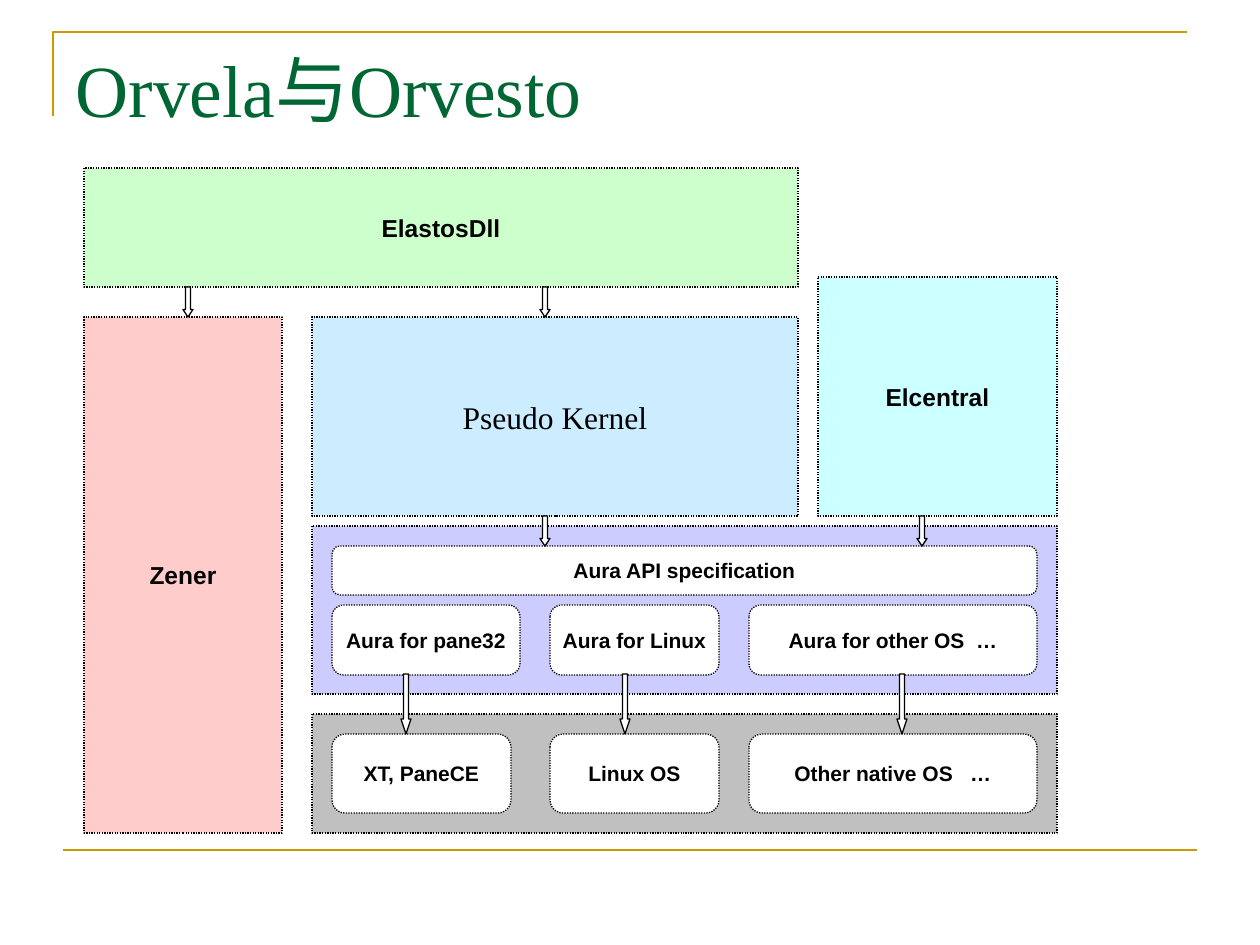
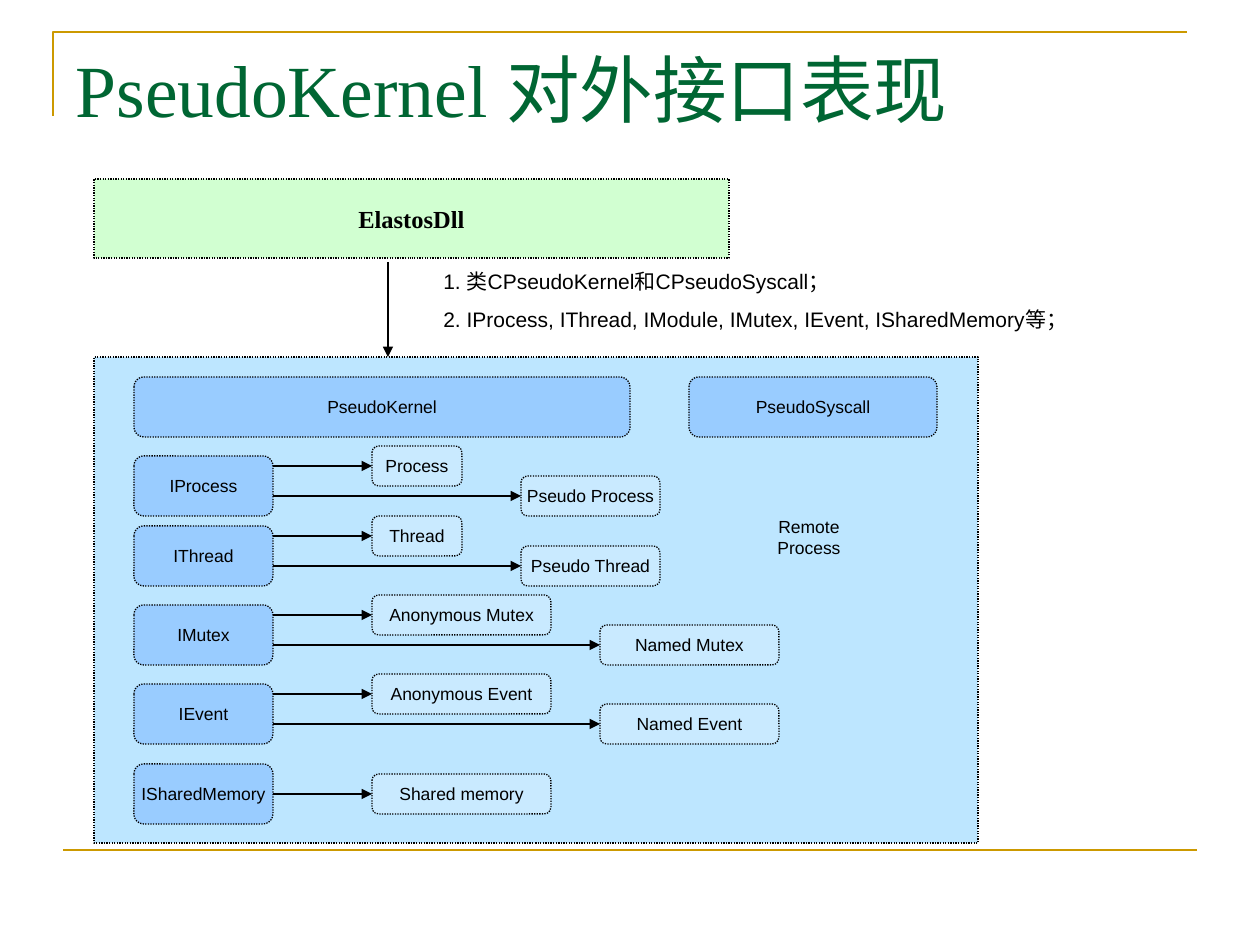
import pptx
import pptx.dml.color
import pptx.enum.dml
import pptx.enum.shapes
import pptx.enum.text
import pptx.oxml.ns
import pptx.util
from lxml import etree

PX = 914400 / 126
SANS = "Arial"
SERIF = "Times New Roman"
COLORS = {
    "gold": "CC9900", "title": "006633", "black": "000000", "white": "FFFFFF",
    "green": "CCFFCC", "pink": "FFCCCC", "sky": "CCECFF", "violet": "CCCCFF",
    "cyan": "CCFFFF", "gray": "C0C0C0",
    "panel": "BDE6FF", "interface": "99CCFF", "class": "C9EAFF",
}
SHAPE = pptx.enum.shapes.MSO_SHAPE
ALIGN = pptx.enum.text.PP_ALIGN
ANCHOR = pptx.enum.text.MSO_ANCHOR


def px(*lengths):
    return [pptx.util.Emu(round(length * PX)) for length in lengths]


def rgb(name):
    return pptx.dml.color.RGBColor.from_string(COLORS[name])


def style_line(shape, color="black", width=0.75, dotted=False):
    shape.line.color.rgb = rgb(color)
    shape.line.width = pptx.util.Pt(width)
    if dotted:
        shape.line.dash_style = pptx.enum.dml.MSO_LINE.ROUND_DOT


def style_font(paragraph, size, font=SANS, bold=False, color="black"):
    paragraph.font.size = pptx.util.Pt(size)
    paragraph.font.name = font
    paragraph.font.bold = bold
    paragraph.font.color.rgb = rgb(color)


def add_block(slide, box, fill, text="", size=14, font=SANS, bold=False,
              kind=SHAPE.RECTANGLE, dotted=True):
    shape = slide.shapes.add_shape(kind, *px(*box))
    shape.shadow.inherit = False
    shape.fill.solid()
    shape.fill.fore_color.rgb = rgb(fill)
    style_line(shape, dotted=dotted)
    if text:
        frame = shape.text_frame
        frame.word_wrap = False
        frame.vertical_anchor = ANCHOR.MIDDLE
        paragraph = frame.paragraphs[0]
        paragraph.text = text
        paragraph.alignment = ALIGN.CENTER
        style_font(paragraph, size, font, bold)
    return shape


def add_line(slide, start, end, color="black", width=0.75, arrow=False):
    line = slide.shapes.add_connector(
        pptx.enum.shapes.MSO_CONNECTOR.STRAIGHT, *px(*start, *end))
    style_line(line, color, width)
    properties = line._element.spPr
    if arrow:
        etree.SubElement(properties.find(pptx.oxml.ns.qn("a:ln")),
                         pptx.oxml.ns.qn("a:tailEnd"), type="triangle")
    etree.SubElement(properties, pptx.oxml.ns.qn("a:effectLst"))
    return line


def add_text(slide, box, lines, size, alignment=ALIGN.LEFT, space_before=0):
    frame = slide.shapes.add_textbox(*px(*box)).text_frame
    frame.word_wrap = True
    for index, text in enumerate(lines):
        paragraph = frame.add_paragraph() if index else frame.paragraphs[0]
        paragraph.text = text
        paragraph.alignment = alignment
        if index:
            paragraph.space_before = pptx.util.Pt(space_before)
        style_font(paragraph, size)


def add_titled_slide(presentation, text):
    slide = presentation.slides.add_slide(presentation.slide_layouts[5])
    title = slide.shapes.title
    title.left, title.top, title.width, title.height = px(63, 38, 1134, 158)
    title.text = text
    title.text_frame.auto_size = pptx.enum.text.MSO_AUTO_SIZE.NONE
    title.text_frame.vertical_anchor = ANCHOR.TOP
    paragraph = title.text_frame.paragraphs[0]
    paragraph.alignment = ALIGN.LEFT
    style_font(paragraph, 42, SERIF, color="title")

    builder = slide.shapes.build_freeform(*px(53, 116))
    builder.add_line_segments([px(53, 32), px(1187, 32)], close=False)
    corner = builder.convert_to_shape()
    corner.shadow.inherit = False
    corner.fill.background()
    style_line(corner, "gold", 1.5)
    add_line(slide, (63, 850), (1197, 850), "gold", 1.5)
    return slide


def add_rounded_row(slide, left, top, height, cells):
    for offset, width, text, kind in cells:
        add_block(slide, (left + offset, top, width, height), "white", text,
                  size=12, bold=True, kind=kind)


def add_aura_layer(slide, box):
    left, top = box[:2]
    add_block(slide, box, "violet")
    add_rounded_row(slide, left, top + 20, 49, [
        (20, 705, "Aura API specification", SHAPE.ROUNDED_RECTANGLE)])
    add_rounded_row(slide, left, top + 79, 70, [
        (20, 188, "Aura for pane32", SHAPE.FLOWCHART_ALTERNATE_PROCESS),
        (238, 169, "Aura for Linux", SHAPE.ROUNDED_RECTANGLE),
        (437, 288, "Aura for other OS  …", SHAPE.ROUNDED_RECTANGLE)])


def add_native_layer(slide, box):
    left, top = box[:2]
    add_block(slide, box, "gray")
    add_rounded_row(slide, left, top + 20, 79, [
        (20, 179, "XT, PaneCE", SHAPE.FLOWCHART_ALTERNATE_PROCESS),
        (238, 169, "Linux OS", SHAPE.ROUNDED_RECTANGLE),
        (437, 288, "Other native OS   …", SHAPE.ROUNDED_RECTANGLE)])


def add_down_arrows(slide, centers, top, height, head):
    for center in centers:
        arrow = add_block(slide, (center - 5, top, 10, height), "white",
                          kind=SHAPE.DOWN_ARROW, dotted=False)
        arrow.adjustments[1] = head


def build_architecture_slide(presentation):
    slide = add_titled_slide(presentation, "Orvela与Orvesto")
    add_block(slide, (84, 317, 198, 516), "pink", "Zener", bold=True)
    add_block(slide, (84, 168, 714, 119), "green", "ElastosDll", bold=True)
    add_block(slide, (312, 317, 486, 199), "sky", "Pseudo Kernel", 18, SERIF)
    add_block(slide, (818, 277, 239, 239), "cyan", "Elcentral", bold=True)
    add_aura_layer(slide, (312, 526, 745, 168))
    add_native_layer(slide, (312, 714, 745, 119))
    add_down_arrows(slide, (188, 545), 287, 30, 0.75)
    add_down_arrows(slide, (545, 922), 516, 30, 0.75)
    add_down_arrows(slide, (406, 625, 902), 674, 60, 1.5)


def add_interface(slide, left, top, name, classes):
    interface = add_block(slide, (left, top, 139, 60), "interface", name, 10,
                          kind=SHAPE.FLOWCHART_ALTERNATE_PROCESS)
    first_offset = -10 if len(classes) == 2 else 10
    for index, (offset, width, text) in enumerate(classes):
        class_top = top + first_offset + 30 * index
        target = add_block(slide, (left + offset, class_top, width, 40),
                           "class", text, 10,
                           kind=SHAPE.FLOWCHART_ALTERNATE_PROCESS)
        middle = class_top + 20
        arrow = add_line(slide, (left + 139, middle), (left + offset, middle),
                         arrow=True)
        arrow.end_connect(target, 1)
        if middle == top + 30:
            arrow.begin_connect(interface, 3)


def add_kernel_panel(slide, box):
    left, top = box[:2]
    add_block(slide, box, "panel")
    for offset, width, text in [(40, 496, "PseudoKernel"),
                                (595, 248, "PseudoSyscall")]:
        add_block(slide, (left + offset, top + 20, width, 60), "interface",
                  text, 10, kind=SHAPE.FLOWCHART_ALTERNATE_PROCESS)
    interfaces = [
        (99, "IProcess", [(238, 90, "Process"), (387, 139, "Pseudo Process")]),
        (169, "IThread", [(238, 90, "Thread"), (387, 139, "Pseudo Thread")]),
        (248, "IMutex", [(238, 179, "Anonymous Mutex"),
                         (466, 179, "Named Mutex")]),
        (327, "IEvent", [(238, 179, "Anonymous Event"),
                         (466, 179, "Named Event")]),
        (407, "ISharedMemory", [(238, 179, "Shared memory")]),
    ]
    for offset, name, classes in interfaces:
        add_interface(slide, left + 40, top + offset, name, classes)
    add_text(slide, (left + 665, top + 153, 100, 66), ["Remote Process"], 10,
             ALIGN.CENTER)


def build_interface_slide(presentation):
    slide = add_titled_slide(presentation, "PseudoKernel 对外接口表现")
    add_kernel_panel(slide, (94, 357, 884, 486))
    library = add_block(slide, (94, 179, 635, 79), "green", "ElastosDll",
                        font=SERIF, bold=True)
    color = library._element.spPr.find(
        ".//" + pptx.oxml.ns.qn("a:srgbClr"))
    etree.SubElement(color, pptx.oxml.ns.qn("a:alpha"), val="90000")
    add_line(slide, (388, 262), (388, 357), arrow=True)
    add_text(slide, (431, 262, 703, 77), [
        "1. 类CPseudoKernel和CPseudoSyscall；",
        "2. IProcess, IThread, IModule, IMutex, IEvent, ISharedMemory等；",
    ], 12, space_before=7.5)


def main():
    presentation = pptx.Presentation()
    presentation.slide_width, presentation.slide_height = px(1260, 945)
    build_architecture_slide(presentation)
    build_interface_slide(presentation)
    presentation.save("out.pptx")


if __name__ == "__main__":
    main()
